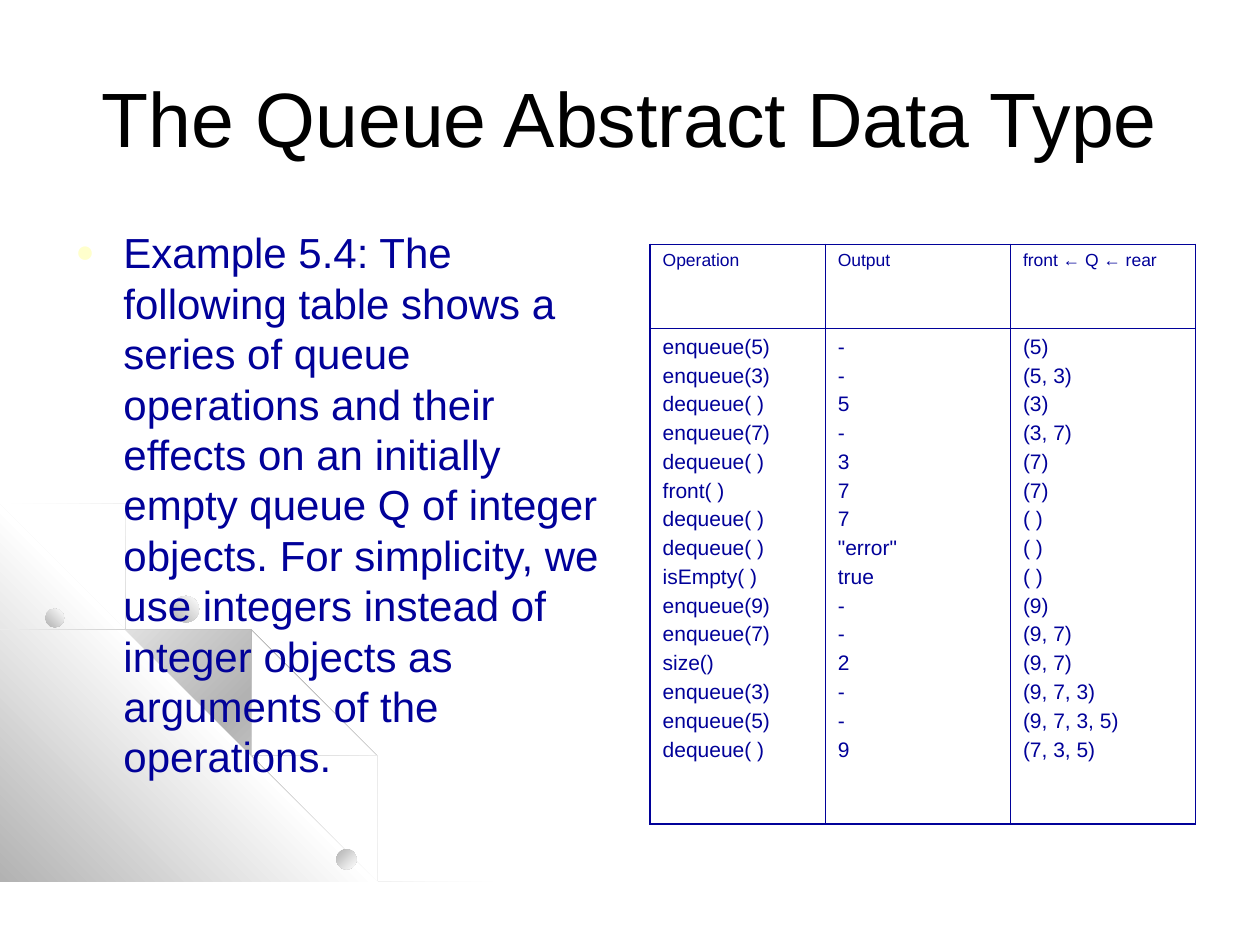
import lxml.etree
import pptx
import pptx.dml.color
import pptx.enum.shapes
import pptx.enum.text
import pptx.oxml
import pptx.oxml.ns
import pptx.util

Inches = pptx.util.Inches
Pt = pptx.util.Pt
qn = pptx.oxml.ns.qn

WIDTH, HEIGHT = 10, 7.5
NAVY, GRAY, WHITE = "010199", "B2B2B2", "FFFFFF"
THIN, THICK = 0.45, 1.08

HEADINGS = ["Operation", "Output", "front ← Q ← rear"]
STEPS = [
    ("enqueue(5)", "-", "(5)"),
    ("enqueue(3)", "-", "(5, 3)"),
    ("dequeue( )", "5", "(3)"),
    ("enqueue(7)", "-", "(3, 7)"),
    ("dequeue( )", "3", "(7)"),
    ("front( )", "7", "(7)"),
    ("dequeue( )", "7", "( )"),
    ("dequeue( )", '"error"', "( )"),
    ("isEmpty( )", "true", "( )"),
    ("enqueue(9)", "-", "(9)"),
    ("enqueue(7)", "-", "(9, 7)"),
    ("size()", "2", "(9, 7)"),
    ("enqueue(3)", "-", "(9, 7, 3)"),
    ("enqueue(5)", "-", "(9, 7, 3, 5)"),
    ("dequeue( )", "9", "(7, 3, 5)"),
]
EXAMPLE = (
    "Example 5.4: The following table shows a series of queue operations and "
    "their effects on an initially empty queue Q of integer objects. For "
    "simplicity, we use integers instead of integer objects as arguments of "
    "the operations."
)

OUTER_ARC = [
    (0.57, 4.47), (0.28, 4.41), (0, 4.35), (0, 4.38), (0.28, 4.43), (0.56, 4.49),
    (0.97, 4.61), (1.35, 4.78), (1.73, 4.99), (2.08, 5.23), (2.41, 5.49),
    (2.71, 5.79), (2.98, 6.12), (3.23, 6.49), (3.37, 6.73), (3.5, 6.98),
    (3.6, 7.23), (3.7, 7.49), (3.72, 7.49), (3.62, 7.23), (3.52, 6.98),
    (3.39, 6.73), (3.25, 6.48), (3, 6.11), (2.72, 5.78), (2.42, 5.48),
    (2.09, 5.21), (1.74, 4.97), (1.36, 4.77), (0.98, 4.59),
]
CORNER = [(3.22, 7.49), (0, 7.49), (0, 4.27)]
LOWER_ARC = [
    (2.85, 7.14), (2.94, 7.32), (3.01, 7.49), (3.03, 7.49), (2.96, 7.3),
    (2.86, 7.12), (2.66, 6.76), (2.42, 6.4), (2.15, 6.06), (1.84, 5.76),
    (1.52, 5.49), (1.17, 5.26), (0.79, 5.05), (0.41, 4.88), (0, 4.75), (0, 4.77),
    (0.39, 4.9), (0.77, 5.07), (1.15, 5.28), (1.5, 5.51), (1.83, 5.78),
    (2.13, 6.08), (2.4, 6.42), (2.65, 6.77),
]
MIDDLE_ARC = [
    (0, 4.42), (0, 4.44), (0.36, 4.57), (0.74, 4.75), (1.09, 4.94), (1.42, 5.18),
    (1.73, 5.44), (2.02, 5.75), (2.27, 6.05), (2.52, 6.41), (2.67, 6.67),
    (2.8, 6.94), (2.92, 7.22), (3.01, 7.49), (3.03, 7.49), (2.94, 7.2),
    (2.82, 6.93), (2.69, 6.65), (2.54, 6.39), (2.29, 6.03), (2.04, 5.73),
    (1.75, 5.43), (1.44, 5.16), (1.11, 4.93), (0.76, 4.73), (0.39, 4.55),
]


def color(value):
    return pptx.dml.color.RGBColor.from_string(value)


def add_element(parent, tag, **attributes):
    return lxml.etree.SubElement(parent, qn(tag), attributes)


def paint_gradient(shape, colors, angle):
    """Fill with evenly spaced stops; the angle runs clockwise in degrees."""
    shape.shadow.inherit = False
    shape.line.fill.background()
    shape.fill.gradient()
    gradient = shape._element.spPr.find(qn("a:gradFill"))
    for child in list(gradient):
        gradient.remove(child)
    stops = add_element(gradient, "a:gsLst")
    for index, value in enumerate(colors):
        position = 100000 * index // (len(colors) - 1)
        stop = add_element(stops, "a:gs", pos=str(position))
        add_element(stop, "a:srgbClr", val=value)
    add_element(gradient, "a:lin", ang=str(angle * 60000), scaled="1")


def add_outline(page, points, colors, angle):
    builder = page.shapes.build_freeform(*points[0], scale=Inches(1))
    builder.add_line_segments(points[1:], close=True)
    paint_gradient(builder.convert_to_shape(), colors, angle)


def add_ball(page, left, top, size, angle):
    ball = page.shapes.add_shape(
        pptx.enum.shapes.MSO_SHAPE.OVAL,
        Inches(left), Inches(top), Inches(size), Inches(size))
    paint_gradient(ball, [GRAY, WHITE], angle)


def add_decoration(page):
    glow = [WHITE, GRAY, WHITE]
    add_outline(page, OUTER_ARC, glow, 45)
    add_outline(page, CORNER, [GRAY, WHITE, GRAY], 315)
    for arc in (LOWER_ARC, MIDDLE_ARC):
        add_outline(page, arc, glow, 45)
    add_ball(page, 0.36, 4.83, 0.15, 315)
    add_ball(page, 2.67, 6.74, 0.16, 45)
    add_ball(page, 1.37, 4.73, 0.21, 315)


def write_lines(frame, lines, size, value, **formats):
    """Put each line in its own paragraph, with the given paragraph formats."""
    for index, line in enumerate(lines):
        para = frame.add_paragraph() if index else frame.paragraphs[0]
        for name, setting in formats.items():
            setattr(para, name, setting)
        span = para.add_run()
        span.text = line
        span.font.name = "Arial"
        span.font.size = Pt(size)
        span.font.color.rgb = color(value)


def place(shape, left, top, width, height):
    box = {"left": left, "top": top, "width": width, "height": height}
    for name, length in box.items():
        setattr(shape, name, Inches(length))
    shape.text_frame.auto_size = pptx.enum.text.MSO_AUTO_SIZE.NONE


def fill_title(title):
    place(title, 0.5, 0.3, 0.9 * WIDTH, 1.25)
    title.text_frame.vertical_anchor = pptx.enum.text.MSO_ANCHOR.MIDDLE
    write_lines(title.text_frame, ["The Queue Abstract Data Type"], 44, "000000",
                alignment=pptx.enum.text.PP_ALIGN.CENTER)


def fill_body(body):
    place(body, 0.5, 1.75, 4.42, 0.66 * HEIGHT)
    write_lines(body.text_frame, [EXAMPLE], 24, NAVY, space_before=Pt(6))
    properties = body.text_frame.paragraphs[0]._p.get_or_add_pPr()
    indent = Inches(0.38)
    properties.set("marL", str(indent))
    properties.set("indent", str(-indent))
    bullet_color = add_element(properties, "a:buClr")
    add_element(bullet_color, "a:srgbClr", val="FFFFCC")
    add_element(properties, "a:buSzPct", val="75000")
    add_element(properties, "a:buFont", typeface="Arial")
    add_element(properties, "a:buChar", char="●")


def draw_borders(cell, widths):
    """Widths are in points, in the order left, right, top, bottom."""
    properties = cell._tc.get_or_add_tcPr()
    for index, (side, width) in enumerate(zip("LRTB", widths)):
        line = lxml.etree.Element(qn(f"a:ln{side}"), w=str(Pt(width)))
        fill = add_element(line, "a:solidFill")
        add_element(fill, "a:srgbClr", val=NAVY)
        properties.insert(index, line)


def add_queue_table(page):
    column_widths, row_heights = [1.39, 1.47, 1.47], [0.67, 3.93]
    frame = page.shapes.add_table(
        2, 3, Inches(5.16), Inches(1.94),
        Inches(sum(column_widths)), Inches(sum(row_heights)))
    table = frame.table
    table.first_row = table.horz_banding = False
    for column, width in zip(table.columns, column_widths):
        column.width = Inches(width)
    for row, height in zip(table.rows, row_heights):
        row.height = Inches(height)
    columns = zip(HEADINGS, zip(*STEPS))
    for index, (heading, entries) in enumerate(columns):
        left = THIN if index else THICK
        right = THICK if index == len(HEADINGS) - 1 else THIN
        head, content = table.cell(0, index), table.cell(1, index)
        write_lines(head.text_frame, [heading], 10, NAVY, space_before=Pt(2.5))
        write_lines(content.text_frame, entries, 12, NAVY, space_before=Pt(3))
        for cell in (head, content):
            cell.fill.background()
        draw_borders(head, [left, right, THICK, THIN])
        draw_borders(content, [left, right, THIN, THICK])


def main():
    deck = pptx.Presentation()
    deck.slide_width, deck.slide_height = Inches(WIDTH), Inches(HEIGHT)
    page = deck.slides.add_slide(deck.slide_layouts[1])
    title, body = page.placeholders
    add_decoration(page)
    for placeholder in (title, body):
        page.shapes._spTree.append(placeholder._element)
    fill_title(title)
    fill_body(body)
    add_queue_table(page)
    deck.save("out.pptx")


if __name__ == "__main__":
    main()
